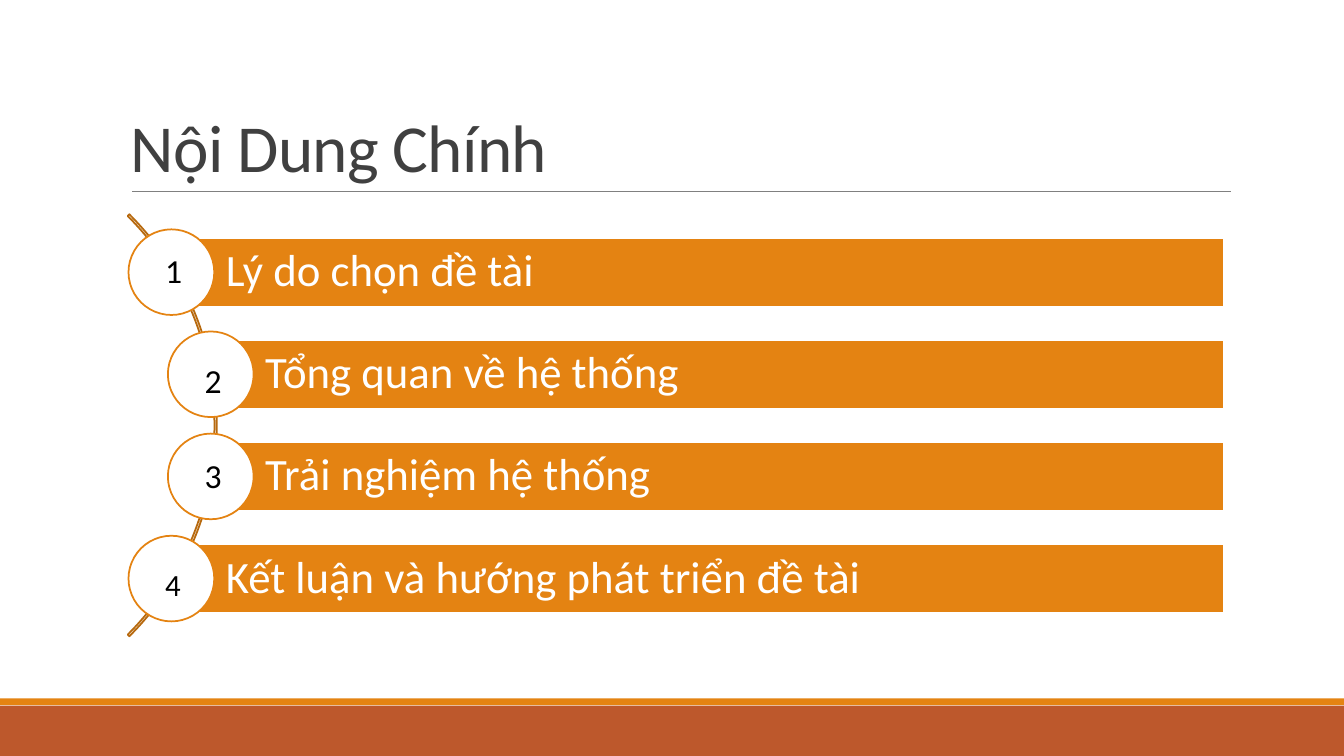
import pptx
import pptx.dml.color
import pptx.enum.shapes
import pptx.enum.text
import pptx.oxml.ns
import pptx.util
from lxml import etree

SHAPE = pptx.enum.shapes.MSO_SHAPE
ANCHOR = pptx.enum.text.MSO_ANCHOR
ALIGN = pptx.enum.text.PP_ALIGN

SLIDE_WIDTH = pptx.util.Inches(13.333)
SLIDE_HEIGHT = pptx.util.Inches(7.5)
ORANGE, RUST, WHITE, BLACK = "E48312", "BD582C", "FFFFFF", "000000"

FIRST_BAR_TOP, ROW_PITCH, BAR_HEIGHT, BAR_RIGHT = 31.47, 13.51, 9.07, 91.05
OUTER_LEFT, INNER_LEFT = 12.75, 15.68
CIRCLE_WIDTH, CIRCLE_HEIGHT = 6.38, 11.33
NUMBER_WIDTH, NUMBER_HEIGHT, NUMBER_SHIFT = 2.78, 6.67, 1.2

TOPICS = [
    ("Lý do chọn đề tài", OUTER_LEFT, 32.4, 24),
    ("Tổng quan về hệ thống", INNER_LEFT, 46.93, 24),
    ("Trải nghiệm hệ thống", INNER_LEFT, 59.47, 24),
    ("Kết luận và hướng phát triển đề tài", OUTER_LEFT, 74.13, 22),
]


def across(share):
    """Turn a percentage of the slide's width into a length."""
    return round(SLIDE_WIDTH * share / 100)


def down(share):
    """Turn a percentage of the slide's height into a length."""
    return round(SLIDE_HEIGHT * share / 100)


def area(left, top, width, height):
    """Turn four slide percentages into a position and a size."""
    return across(left), down(top), across(width), down(height)


def color(value):
    """Turn a hex string into a colour."""
    return pptx.dml.color.RGBColor.from_string(value)


def add_block(slide, kind, place, fill=None, outline=None):
    """Add a preset shape with an optional fill and outline."""
    block = slide.shapes.add_shape(kind, *area(*place))
    block.shadow.inherit = False
    if fill:
        block.fill.solid()
        block.fill.fore_color.rgb = color(fill)
    else:
        block.fill.background()
    if outline:
        block.line.color.rgb = color(outline)
        block.line.width = pptx.util.Pt(1.25)
    else:
        block.line.fill.background()
    return block


def write(holder, words, size, ink, spacing=1.0):
    """Put one left-aligned line of text into a shape."""
    holder.text_frame.text = words
    line = holder.text_frame.paragraphs[0]
    line.alignment = ALIGN.LEFT
    line.line_spacing = spacing
    font = line.runs[0].font
    font.name = "Calibri"
    font.size = pptx.util.Pt(size)
    font.color.rgb = color(ink)
    return line.runs[0]


def add_title(slide, words):
    """Add the heading and the thin rule under it."""
    heading = slide.shapes.add_textbox(*area(9, 4.13, 82.5, 21.2))
    heading.text_frame.word_wrap = True
    heading.text_frame.vertical_anchor = ANCHOR.BOTTOM
    run = write(heading, words, 48, "404040", 0.85)
    run.font._element.set("spc", "-50")
    rule = slide.shapes.add_connector(
        pptx.enum.shapes.MSO_CONNECTOR.STRAIGHT,
        across(9.83), down(25.33), across(91.6), down(25.33))
    rule.line.color.rgb = color("808080")
    rule.line.width = pptx.util.Pt(0.5)
    etree.SubElement(rule._element.spPr, pptx.oxml.ns.qn("a:effectLst"))


def add_arc(slide):
    """Add the thin arc that links the circles."""
    arc = add_block(slide, SHAPE.BLOCK_ARC, (-28.28, 16.8, 44.41, 78.93), outline="B7690E")
    for index, value in enumerate((189, 27, 0.004)):
        arc.adjustments[index] = value


def add_topic(slide, row, words, left, number_top, number_size):
    """Add one topic bar with its numbered circle."""
    top = FIRST_BAR_TOP + row * ROW_PITCH
    bar = add_block(slide, SHAPE.RECTANGLE,
                    (left, top, BAR_RIGHT - left, BAR_HEIGHT), ORANGE, WHITE)
    frame = bar.text_frame
    frame.word_wrap = True
    frame.vertical_anchor = ANCHOR.MIDDLE
    frame.margin_left = across(4.05)
    frame.margin_right = across(0.68)
    frame.margin_top = frame.margin_bottom = down(1.2)
    write(bar, words, 32, WHITE, 0.9)

    circle_top = top + (BAR_HEIGHT - CIRCLE_HEIGHT) / 2
    add_block(slide, SHAPE.OVAL,
              (left - CIRCLE_WIDTH / 2, circle_top, CIRCLE_WIDTH, CIRCLE_HEIGHT),
              WHITE, ORANGE)

    number = slide.shapes.add_textbox(
        *area(left - NUMBER_SHIFT, number_top, NUMBER_WIDTH, NUMBER_HEIGHT))
    number.text_frame.word_wrap = False
    number.text_frame.auto_size = pptx.enum.text.MSO_AUTO_SIZE.SHAPE_TO_FIT_TEXT
    write(number, str(row + 1), number_size, BLACK)


def main():
    """Build the agenda slide and save it."""
    deck = pptx.Presentation()
    deck.slide_width, deck.slide_height = SLIDE_WIDTH, SLIDE_HEIGHT
    slide = deck.slides.add_slide(deck.slide_layouts[6])
    add_block(slide, SHAPE.RECTANGLE, (0, 93.33, 100, 6.67), RUST)
    add_block(slide, SHAPE.RECTANGLE, (0, 92.4, 100, 0.88), ORANGE)
    add_title(slide, "Nội Dung Chính")
    add_arc(slide)
    for row, topic in enumerate(TOPICS):
        add_topic(slide, row, *topic)
    deck.save("out.pptx")


if __name__ == "__main__":
    main()
